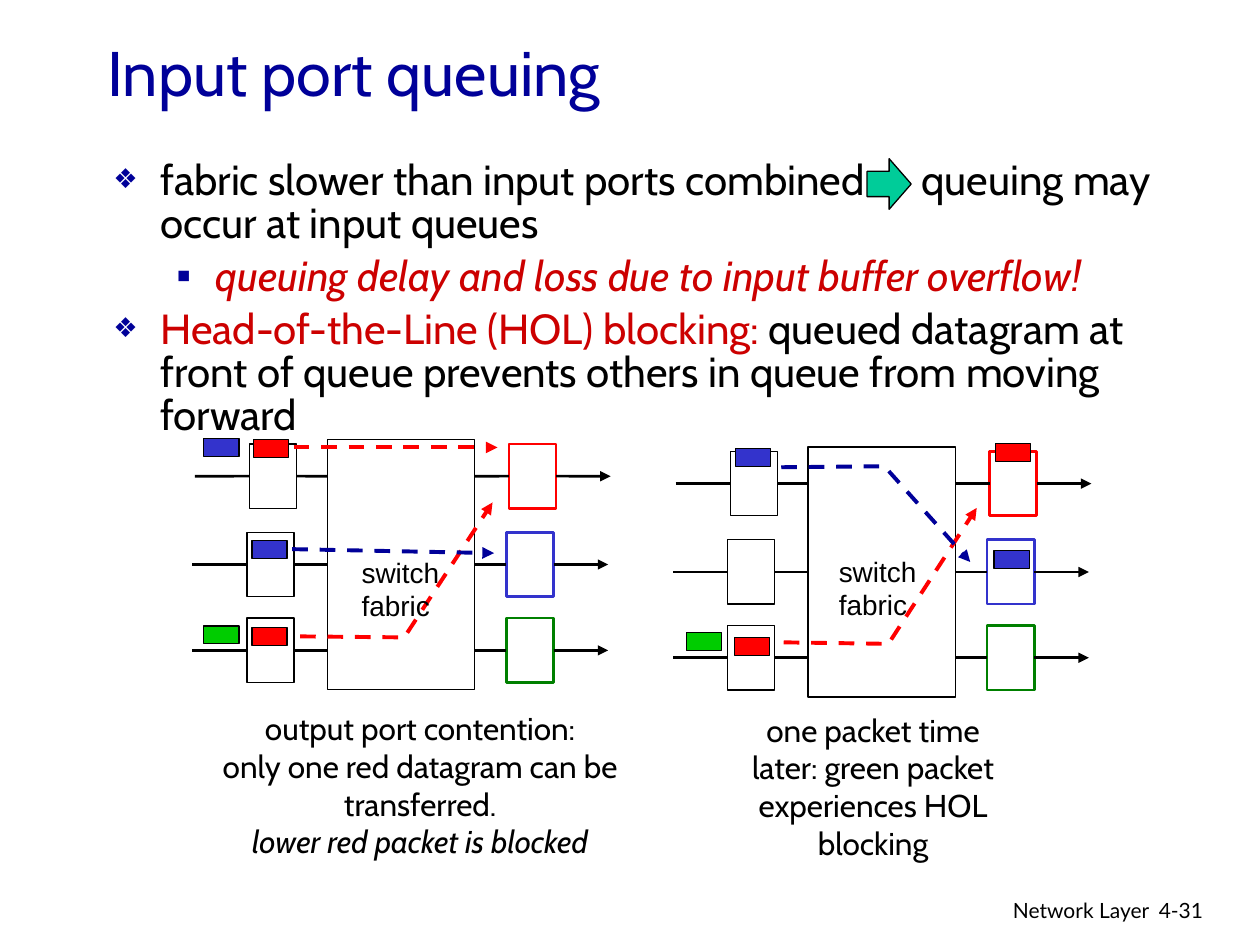
"""Builds the slide on input port queuing and head-of-the-line blocking."""
import pptx
import pptx.dml.color
import pptx.enum.dml
import pptx.enum.shapes
import pptx.enum.text
import pptx.oxml.ns
import pptx.util
from lxml import etree

Cm = pptx.util.Cm
Pt = pptx.util.Pt
SHAPE = pptx.enum.shapes.MSO_SHAPE
ALIGN = pptx.enum.text.PP_ALIGN
BLACK, WHITE, NAVY, CRIMSON = "000000", "FFFFFF", "000099", "CC0000"
RED, BLUE, GREEN, DARK_GREEN = "FF0000", "3333CC", "00CC00", "008000"


def color(code):
    return pptx.dml.color.RGBColor.from_string(code)


def child(parent, tag, **attributes):
    return etree.SubElement(parent, pptx.oxml.ns.qn(tag), attributes)


def write(paragraph, text, size=18, font="Cabin", ink=BLACK, italic=False, tracking=None):
    if text == "\n":
        paragraph.add_line_break()
        return
    run = paragraph.add_run()
    run.text = text
    run.font.size = Pt(size)
    run.font.name = font
    run.font.italic = italic
    run.font.color.rgb = color(ink)
    if tracking:
        run._r.get_or_add_rPr().set("spc", str(int(tracking * 100)))


class QueuingSlide:
    port_width, port_height = 0.95, 1.3
    lead = 1.1
    fabric_box = (6.6, 8.86, 2.97, 5.04)
    port_rows = ((5.03, 8.95), (4.98, 10.73), (4.98, 12.46))
    output_shift = 5.23
    output_colors = (RED, BLUE, DARK_GREEN)

    def __init__(self, deck):
        self.slide = deck.slides.add_slide(deck.slide_layouts[1])
        self.shapes = self.slide.shapes

    def place(self, holder, box):
        holder.left, holder.top, holder.width, holder.height = map(Cm, box)
        holder.text_frame.auto_size = pptx.enum.text.MSO_AUTO_SIZE.NONE
        return holder.text_frame

    def title(self, text, box):
        frame = self.place(self.shapes.title, box)
        frame.vertical_anchor = pptx.enum.text.MSO_ANCHOR.MIDDLE
        frame.paragraphs[0].alignment = ALIGN.LEFT
        write(frame.paragraphs[0], text, size=36, ink=NAVY)

    def bullets(self, items, box):
        frame = self.place(self.slide.placeholders[1], box)
        for index, (level, fragments) in enumerate(items):
            paragraph = frame.add_paragraph() if index else frame.paragraphs[0]
            paragraph.level = level
            paragraph.line_spacing = 0.85
            paragraph.space_before = Pt(6)
            margin, hanging, size, mark = ((0.95, 0.95, 65, "❖"), (2.06, 0.79, 100, "▪"))[level]
            properties = paragraph._p.get_or_add_pPr()
            properties.set("marL", str(Cm(margin)))
            properties.set("indent", str(-Cm(hanging)))
            child(child(properties, "a:buClr"), "a:srgbClr", val=NAVY)
            child(properties, "a:buSzPct", val=str(size * 1000))
            child(properties, "a:buChar", char=mark)
            for text, look in fragments:
                write(paragraph, text, size=24, **look)

    def text(self, lines, box, align=ALIGN.LEFT, **look):
        frame = self.shapes.add_textbox(*map(Cm, box)).text_frame
        frame.word_wrap = True
        for index, fragments in enumerate(lines):
            paragraph = frame.add_paragraph() if index else frame.paragraphs[0]
            paragraph.alignment = align
            for text, extra in fragments:
                write(paragraph, text, **{**look, **extra})

    def block(self, box, fill=WHITE, outline=BLACK, weight=0.75, kind=SHAPE.RECTANGLE):
        block = self.shapes.add_shape(kind, *map(Cm, box))
        block.shadow.inherit = False
        block.fill.solid()
        block.fill.fore_color.rgb = color(fill)
        block.line.color.rgb = color(outline)
        block.line.width = Pt(weight)
        return block

    def stroke(self, target, ink, weight, arrow, dashed):
        target.line.color.rgb = color(ink)
        target.line.width = Pt(weight)
        if dashed:
            target.line.dash_style = pptx.enum.dml.MSO_LINE.DASH
        if arrow:
            child(target.line._get_or_add_ln(), "a:tailEnd", type="triangle")

    def line(self, start, end, ink=BLACK, weight=1.5, arrow=False, dashed=False,
             source=None, target=None):
        line = self.shapes.add_connector(
            pptx.enum.shapes.MSO_CONNECTOR.STRAIGHT, *map(Cm, (*start, *end)))
        if source:
            line.begin_connect(*source)
        if target:
            line.end_connect(*target)
        self.stroke(line, ink, weight, arrow, dashed)
        child(line._element.spPr, "a:effectLst")

    def flow(self, points, ink):
        if len(points) == 2:
            self.line(*points, ink=ink, weight=2.25, arrow=True, dashed=True)
            return
        corners = [(Cm(x), Cm(y)) for x, y in points]
        builder = self.shapes.build_freeform(*corners[0])
        builder.add_line_segments(corners[1:], close=False)
        bend = builder.convert_to_shape()
        bend.shadow.inherit = False
        bend.fill.background()
        self.stroke(bend, ink, 2.25, True, True)

    def switch(self, dx, dy, label_at, packets, flows):
        left, top, width, height = self.fabric_box
        left, top = left + dx, top + dy
        fabric = self.block((left, top, width, height))
        for row, (x, y) in enumerate(self.port_rows):
            x, y = x + dx, y + dy
            out = x + self.output_shift
            middle = y + self.port_height / 2
            input_port = self.block((x, y, self.port_width, self.port_height))
            output_port = self.block((out, y, self.port_width, self.port_height),
                                     outline=self.output_colors[row], weight=1.5)
            centred = row == 1
            self.line((x - self.lead, middle), (x, middle), target=(input_port, 1))
            self.line((x + self.port_width, middle), (left, middle),
                      source=(input_port, 3), target=(fabric, 1) if centred else None)
            self.line((left + width, middle), (out, middle),
                      source=(fabric, 3) if centred else None, target=(output_port, 1))
            exit_x = out + self.port_width
            self.line((exit_x, middle), (exit_x + self.lead, middle),
                      arrow=True, source=(output_port, 3))
        for x, y, fill in packets:
            self.block((x, y, 0.71, 0.36), fill=fill)
        for points, ink in flows:
            self.flow(points, ink)
        self.text([[("switch", {})], [("fabric", {})]], (*label_at, 2.5, 1.63),
                  size=16, font="Arial")


def main():
    deck = pptx.Presentation()
    deck.slide_width, deck.slide_height = Cm(25.4), Cm(19.05)
    page = QueuingSlide(deck)
    page.text([[("Network Layer", {})]], (15.37, 17.96, 8.05, 0.79),
              align=ALIGN.RIGHT, size=12, font="Lato")
    page.text([[("4-31", {})]], (23.11, 17.96, 1.88, 0.76), size=12, font="Lato")
    page.title("Input port queuing", (1.91, 0.81, 21.59, 1.27))
    page.bullets([
        (0, [("fabric slower than input ports combined", {}), (" ", {"tracking": 27}),
             ("queuing may occur at input queues", {})]),
        (1, [("queuing delay and loss due to input buffer overflow!",
              {"ink": CRIMSON, "italic": True})]),
        (0, [("Head-of-the-Line (HOL) blocking:", {"ink": CRIMSON}),
             (" queued datagram at front of queue prevents others in queue "
              "from moving forward", {})]),
    ], (2.03, 3.12, 22.5, 7.37))
    page.switch(
        0, 0, (7.04, 11.07),
        packets=[(5.11, 8.86, RED), (5.08, 10.9, BLUE), (5.08, 12.65, RED),
                 (4.11, 8.84, BLUE), (4.11, 12.62, GREEN)],
        flows=[([(5.92, 9.02), (10.03, 9.02)], RED),
               ([(6.05, 12.83), (8.15, 12.85), (9.93, 10.13)], RED),
               ([(5.89, 11.07), (9.96, 11.15)], NAVY)])
    page.text([[("output port contention:", {})],
               [("only one red datagram can be transferred.", {}), ("\n", {}),
                ("lower red packet is blocked", {"italic": True})]],
              (3.76, 14.17, 9.42, 4.06), align=ALIGN.CENTER)
    page.switch(
        9.69, 0.15, (16.66, 11.05),
        packets=[(20.07, 8.94, RED), (14.83, 9.04, BLUE), (14.81, 12.85, RED),
                 (13.84, 12.75, GREEN), (20.04, 11.1, BLUE)],
        flows=[([(15.8, 12.95), (17.91, 12.98), (19.69, 10.24)], RED),
               ([(15.75, 9.42), (17.83, 9.4), (19.56, 11.33)], NAVY)])
    page.text([[("one packet time later: green packet experiences HOL blocking", {})]],
              (14.5, 14.2, 6.2, 4.06), align=ALIGN.CENTER)
    page.block((17.48, 3.2, 0.89, 1.02), fill="00CC99", kind=SHAPE.RIGHT_ARROW)
    deck.save("out.pptx")


if __name__ == "__main__":
    main()
